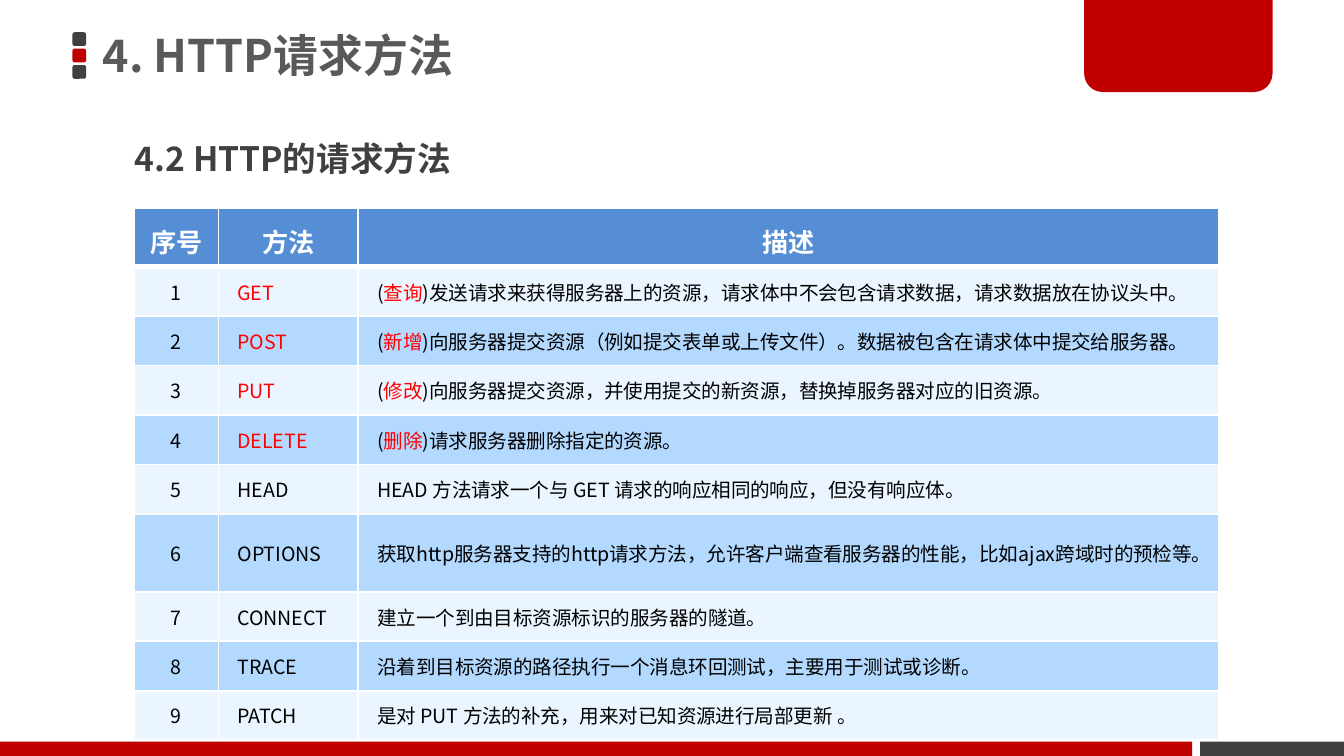
from lxml.etree import SubElement
from pptx import Presentation
from pptx.dml.color import RGBColor
from pptx.enum.shapes import MSO_SHAPE as Shape
from pptx.enum.text import MSO_ANCHOR as Anchor, MSO_AUTO_SIZE as AutoSize, PP_ALIGN as Align
from pptx.oxml import parse_xml
from pptx.oxml.ns import nsdecls, qn
from pptx.util import Cm, Pt

FONT = "Noto Sans CJK SC"
WHITE = RGBColor(0xFF, 0xFF, 0xFF)
BLACK = RGBColor(0, 0, 0)
RED = RGBColor(0xFF, 0, 0)
CRIMSON = RGBColor(0xC0, 0, 0)
CHARCOAL = RGBColor(0x40, 0x40, 0x40)
TITLE_GREY = RGBColor(0x59, 0x59, 0x59)
HEADER_BLUE = RGBColor(0x55, 0x8E, 0xD5)
BANDS = (RGBColor(0xEB, 0xF5, 0xFF), RGBColor(0xB3, 0xD9, 0xFF))

HEADINGS = ("序号", "方法", "描述")
METHODS = (
    ("GET", "查询", "发送请求来获得服务器上的资源，请求体中不会包含请求数据，请求数据放在协议头中。"),
    ("POST", "新增", "向服务器提交资源（例如提交表单或上传文件）。数据被包含在请求体中提交给服务器。"),
    ("PUT", "修改", "向服务器提交资源，并使用提交的新资源，替换掉服务器对应的旧资源。"),
    ("DELETE", "删除", "请求服务器删除指定的资源。"),
    ("HEAD", "", "HEAD 方法请求一个与 GET 请求的响应相同的响应，但没有响应体。"),
    ("OPTIONS", "", "获取http服务器支持的http请求方法，允许客户端查看服务器的性能，比如ajax跨域时的预检等。"),
    ("CONNECT", "", "建立一个到由目标资源标识的服务器的隧道。"),
    ("TRACE", "", "沿着到目标资源的路径执行一个消息环回测试，主要用于测试或诊断。"),
    ("PATCH", "", "是对 PUT 方法的补充，用来对已知资源进行局部更新 。"),
)


def format_run(run, size, color, bold=False):
    run.font.size = Pt(size)
    run.font.bold = bold
    run.font.color.rgb = color
    run.font.name = FONT
    SubElement(run.font._element, qn("a:ea"), typeface=FONT)


def add_block(slide, preset, color, left, top, width, height):
    block = slide.shapes.add_shape(preset, Cm(left), Cm(top), Cm(width), Cm(height))
    block.shadow.inherit = False
    block.fill.solid()
    block.fill.fore_color.rgb = color
    block.line.fill.background()
    return block


def draw_title_marks(slide, left, top, size, pitch):
    for index, color in enumerate((CHARCOAL, CRIMSON, CHARCOAL)):
        add_block(slide, Shape.ROUNDED_RECTANGLE, color, left, top + index * pitch, size, size)


def draw_corner_tab(slide, left, top, width, height):
    tab = add_block(slide, Shape.ROUND_2_SAME_RECTANGLE, CRIMSON, left, top, width, height)
    tab.adjustments[0] = 0
    tab.adjustments[1] = 0.2


def draw_footer(slide, left, top, width, height):
    gap, dark_width = 0.15, 2.72
    add_block(slide, Shape.RECTANGLE, CHARCOAL, left + width - dark_width, top, dark_width, height)
    add_block(slide, Shape.RECTANGLE, CRIMSON, left, top, width - dark_width - gap, height)


def fill_heading(heading, text, size, color, anchor, before, left, top, width, height):
    heading.left, heading.top = Cm(left), Cm(top)
    heading.width, heading.height = Cm(width), Cm(height)
    frame = heading.text_frame
    frame.text = text
    frame.word_wrap = True
    frame.auto_size = AutoSize.NONE
    frame.vertical_anchor = anchor
    frame.margin_left = frame.margin_right = Cm(0.19)
    frame.margin_top = frame.margin_bottom = Cm(0.1)
    line = frame.paragraphs[0]
    line.alignment = Align.LEFT
    line.line_spacing = 0.9
    line.space_before = Pt(before)
    properties = line._p.get_or_add_pPr()
    properties.set("marL", "0")
    properties.set("indent", "0")
    properties.append(parse_xml(f"<a:buNone {nsdecls('a')}/>"))
    format_run(line.runs[0], size, color, bold=True)


def style_cell(cell, fill, top=1, bottom=1):
    cell.fill.solid()
    cell.fill.fore_color.rgb = fill
    properties = cell._tc.get_or_add_tcPr()
    for index, (side, points) in enumerate((("L", 1), ("R", 1), ("T", top), ("B", bottom))):
        properties.insert(index, parse_xml(
            f'<a:ln{side} {nsdecls("a")} w="{Pt(points)}"><a:solidFill>'
            f'<a:srgbClr val="{WHITE}"/></a:solidFill></a:ln{side}>'))


def fill_method_cell(cell, parts, align):
    cell.vertical_anchor = Anchor.MIDDLE
    cell.margin_left = cell.margin_right = Cm(0.36)
    cell.margin_top = cell.margin_bottom = Cm(0.2)
    line = cell.text_frame.paragraphs[0]
    line.alignment = align
    for text, color in parts:
        run = line.add_run()
        run.text = text
        format_run(run, 10.5, color)


def draw_methods_table(slide, left, top, widths, header_height, row_height):
    height = header_height + row_height * len(METHODS)
    table = slide.shapes.add_table(len(METHODS) + 1, len(widths), Cm(left), Cm(top),
                                   Cm(sum(widths)), Cm(height)).table
    for column, width in zip(table.columns, widths):
        column.width = Cm(width)
    for index, row in enumerate(table.rows):
        row.height = Cm(row_height if index else header_height)
    for cell, heading in zip(table.rows[0].cells, HEADINGS):
        cell.text_frame.text = heading
        line = cell.text_frame.paragraphs[0]
        line.alignment = Align.CENTER
        line.line_spacing = Pt(24)
        format_run(line.runs[0], 14, WHITE, bold=True)
        style_cell(cell, HEADER_BLUE, bottom=3)
    for number, (method, action, description) in enumerate(METHODS, 1):
        if action:
            detail = (("(", BLACK), (action, RED), (")" + description, BLACK))
        else:
            detail = ((description, BLACK),)
        columns = (
            (((str(number), BLACK),), Align.CENTER),
            (((method, RED if action else BLACK),), Align.LEFT),
            (detail, Align.LEFT),
        )
        for cell, (parts, align) in zip(table.rows[number].cells, columns):
            fill_method_cell(cell, parts, align)
            style_cell(cell, BANDS[(number - 1) % 2], top=3 if number == 1 else 1)


def build_methods_slide(deck):
    slide = deck.slides.add_slide(deck.slide_layouts[1])
    draw_title_marks(slide, 1.37, 0.61, 0.26, 0.31)
    draw_corner_tab(slide, 20.49, 0, 3.56, 1.74)
    draw_footer(slide, 0, 14.02, 25.4, 0.27)
    fill_heading(slide.shapes.title, "4. HTTP请求方法", 24, TITLE_GREY, Anchor.MIDDLE, 0,
                 1.75, 0, 18.72, 2.2)
    fill_heading(slide.placeholders[1], "4.2 HTTP的请求方法", 18, CHARCOAL, Anchor.TOP, 7.5,
                 2.36, 2.59, 18.11, 1.5)
    draw_methods_table(slide, 2.53, 3.94, (1.6, 2.64, 16.26), 0.97, 0.81)


deck = Presentation()
deck.slide_width, deck.slide_height = Cm(25.4), Cm(14.29)
build_methods_slide(deck)
deck.save("out.pptx")
